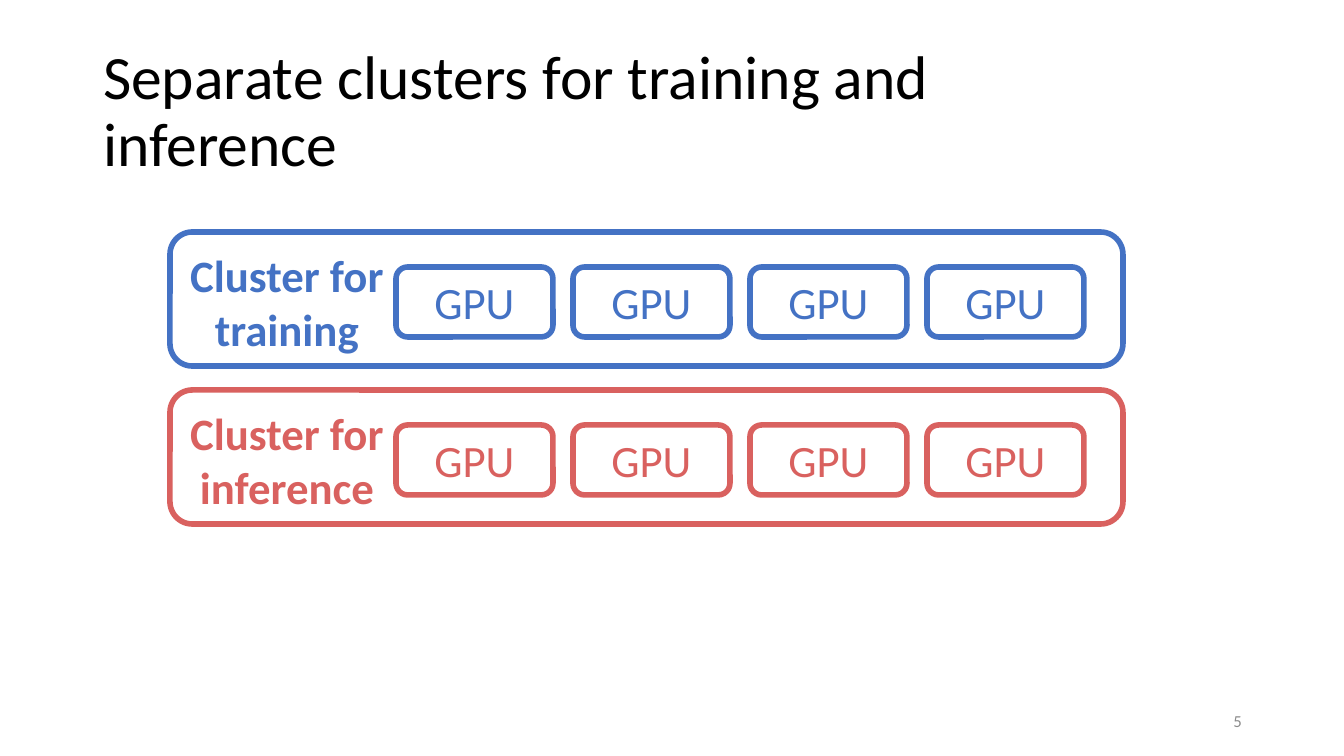
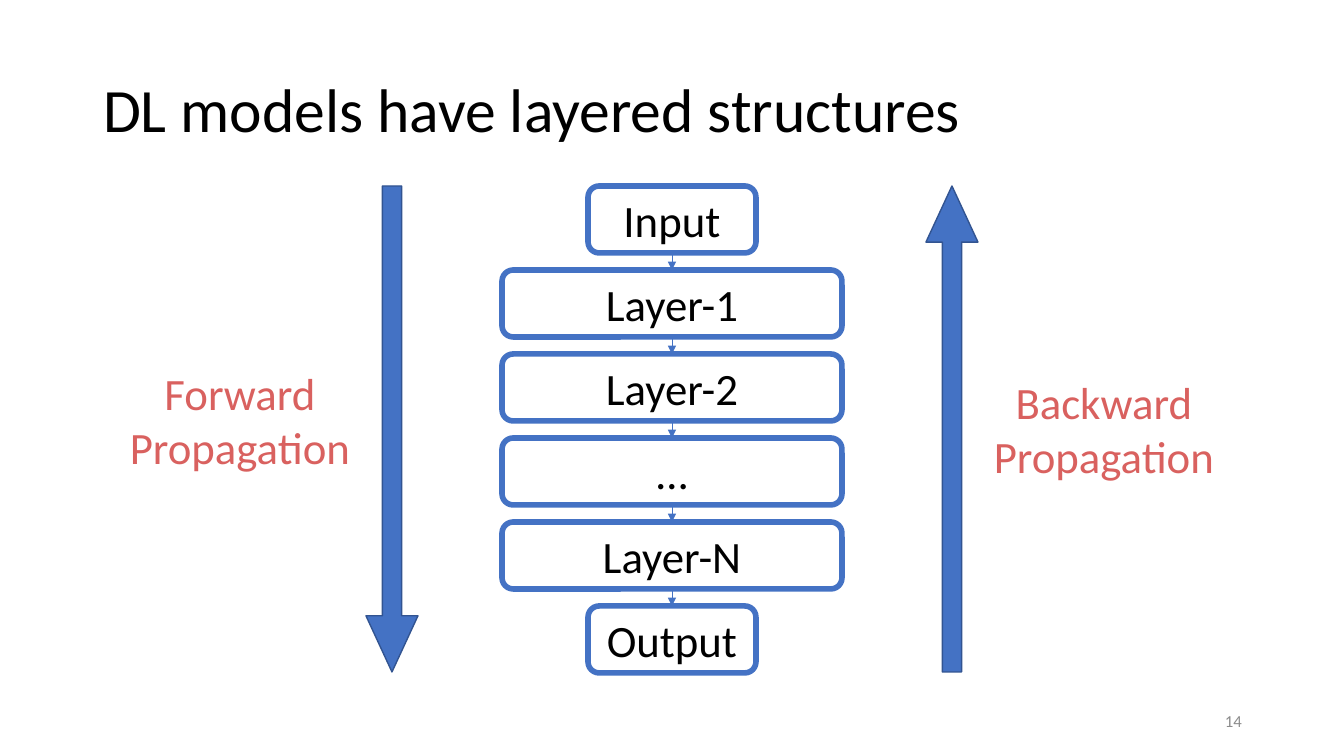
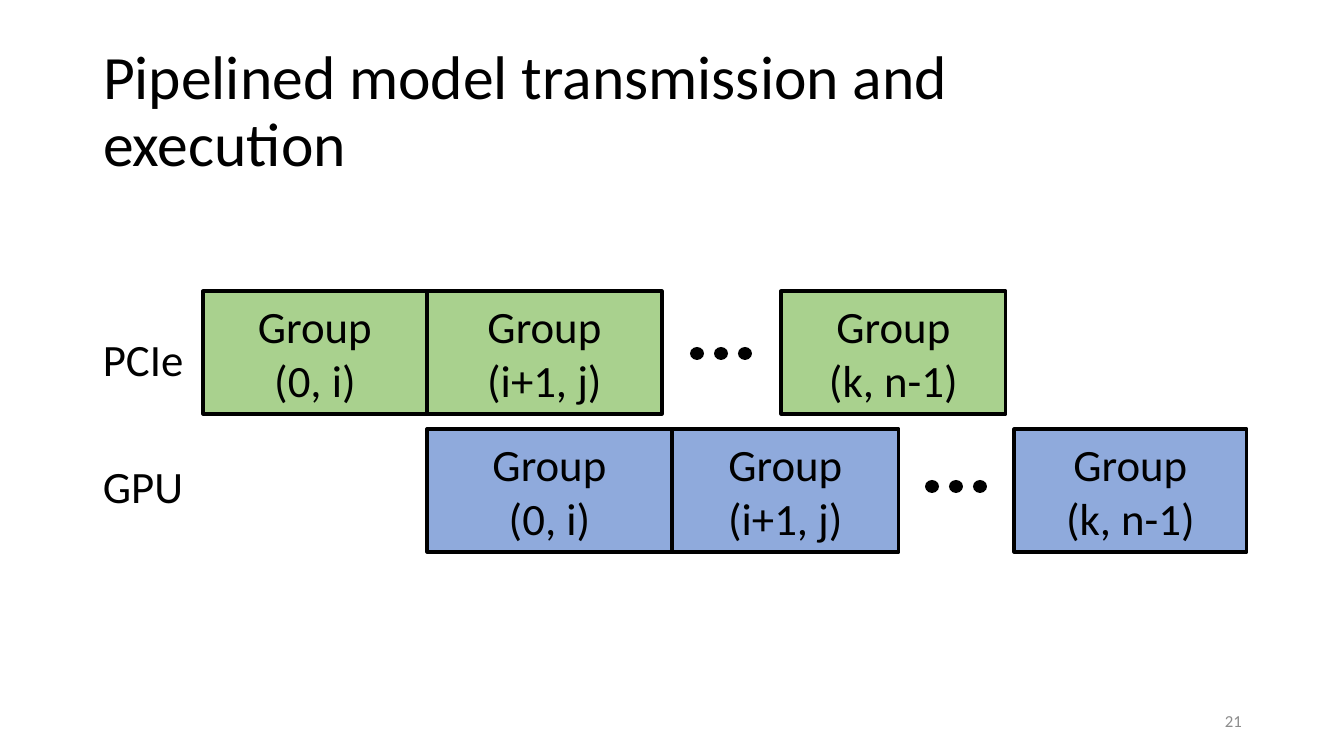
from dataclasses import dataclass
from typing import Optional

from lxml.etree import SubElement
from pptx import Presentation
from pptx.dml.color import RGBColor
from pptx.enum.shapes import MSO_CONNECTOR, MSO_SHAPE
from pptx.enum.text import MSO_ANCHOR, MSO_AUTO_SIZE, PP_ALIGN
from pptx.oxml.ns import qn
from pptx.shapes.autoshape import Shape
from pptx.slide import Slide
from pptx.text.text import TextFrame
from pptx.util import Emu, Pt

# Shared style
PIXEL = 12192000 / 1344
FONT = "Calibri"
BLACK = RGBColor(0x00, 0x00, 0x00)
WHITE = RGBColor(0xFF, 0xFF, 0xFF)
GRAY = RGBColor(0x8C, 0x8C, 0x8C)
BLUE = RGBColor(0x44, 0x72, 0xC4)
DARK_BLUE = RGBColor(0x32, 0x54, 0x91)
LIGHT_BLUE = RGBColor(0x8F, 0xAA, 0xDC)
RED = RGBColor(0xD9, 0x61, 0x5F)
GREEN = RGBColor(0xA9, 0xD1, 0x8E)


@dataclass(frozen=True)
class Box:
    left: int
    top: int
    width: int
    height: int

    def to_emu(self) -> tuple[Emu, Emu, Emu, Emu]:
        return (pixels(self.left), pixels(self.top),
                pixels(self.width), pixels(self.height))


@dataclass(frozen=True)
class TextStyle:
    color: RGBColor = BLACK
    size: int = 32
    bold: bool = False
    align: PP_ALIGN = PP_ALIGN.CENTER
    anchor: MSO_ANCHOR = MSO_ANCHOR.TOP
    wrap: bool = True
    line_spacing: Optional[float] = None


@dataclass(frozen=True)
class ShapeStyle:
    kind: MSO_SHAPE
    fill: Optional[RGBColor]
    line: Optional[RGBColor] = None
    line_width: float = 1
    text_color: RGBColor = BLACK


@dataclass(frozen=True)
class Cluster:
    purpose: str
    color: RGBColor
    top: int


@dataclass(frozen=True)
class Pipeline:
    label: str
    label_top: int
    top: int
    fill: RGBColor
    spans: tuple[tuple[int, int], ...]
    dots_left: int
    dots_top: int


@dataclass(frozen=True)
class Propagation:
    direction: str
    arrow: MSO_SHAPE
    arrow_left: int
    label_left: int
    label_top: int


TITLE = TextStyle(size=44, align=PP_ALIGN.LEFT, anchor=MSO_ANCHOR.MIDDLE, line_spacing=0.9)
SLIDE_NUMBER = TextStyle(GRAY, 12, align=PP_ALIGN.RIGHT, anchor=MSO_ANCHOR.MIDDLE)
ROW_LABEL = TextStyle(align=PP_ALIGN.LEFT, wrap=False)
DOT = ShapeStyle(MSO_SHAPE.OVAL, BLACK)


def pixels(length: float) -> Emu:
    return Emu(round(length * PIXEL))


def write_text(frame: TextFrame, lines: tuple[str, ...], style: TextStyle) -> None:
    frame.auto_size = MSO_AUTO_SIZE.NONE
    frame.word_wrap = style.wrap
    frame.vertical_anchor = style.anchor
    for index, line in enumerate(lines):
        paragraph = frame.paragraphs[0] if index == 0 else frame.add_paragraph()
        paragraph.alignment = style.align
        if style.line_spacing:
            paragraph.line_spacing = style.line_spacing
        run = paragraph.add_run()
        run.text = line
        run.font.name = FONT
        run.font.size = Pt(style.size)
        run.font.bold = style.bold
        run.font.color.rgb = style.color


def add_label(slide: Slide, box: Box, lines: tuple[str, ...], style: TextStyle) -> None:
    write_text(slide.shapes.add_textbox(*box.to_emu()).text_frame, lines, style)


def add_figure(shapes, box: Box, style: ShapeStyle, lines: tuple[str, ...] = ()) -> Shape:
    shape = shapes.add_shape(style.kind, *box.to_emu())
    shape.shadow.inherit = False
    if style.fill is None:
        shape.fill.background()
    else:
        shape.fill.solid()
        shape.fill.fore_color.rgb = style.fill
    if style.line is None:
        shape.line.fill.background()
    else:
        shape.line.color.rgb = style.line
        shape.line.width = Pt(style.line_width)
    if lines:
        write_text(shape.text_frame, lines,
                   TextStyle(style.text_color, anchor=MSO_ANCHOR.MIDDLE))
    return shape


def add_down_connector(slide: Slide, center: int, top: int, bottom: int) -> None:
    connector = slide.shapes.add_connector(
        MSO_CONNECTOR.STRAIGHT, pixels(center), pixels(top), pixels(center), pixels(bottom))
    connector.line.color.rgb = BLUE
    connector.line.width = Pt(0.5)
    SubElement(connector.line._get_or_add_ln(), qn("a:tailEnd"), type="triangle")
    SubElement(connector._element.spPr, qn("a:effectLst"))


def add_titled_slide(title: str, title_width: int, number: int) -> Slide:
    slide = presentation.slides.add_slide(presentation.slide_layouts[5])
    placeholder = slide.shapes.title
    placeholder.left, placeholder.top, placeholder.width, placeholder.height = Box(
        93, 40, title_width, 146).to_emu()
    write_text(placeholder.text_frame, (title,), TITLE)
    add_label(slide, Box(950, 701, 302, 40), (str(number),), SLIDE_NUMBER)
    return slide


def add_cluster(slide: Slide, cluster: Cluster) -> None:
    gpu = ShapeStyle(MSO_SHAPE.ROUNDED_RECTANGLE, WHITE, cluster.color, 4, cluster.color)
    frame = ShapeStyle(MSO_SHAPE.ROUNDED_RECTANGLE, None, cluster.color, 4)
    for column in range(4):
        add_figure(slide.shapes, Box(396 + 177 * column, cluster.top + 35, 157, 70),
                   gpu, ("GPU",))
    add_figure(slide.shapes, Box(170, cluster.top, 953, 134), frame)
    add_label(slide, Box(178, cluster.top + 11, 218, 119),
              ("Cluster for", cluster.purpose), TextStyle(cluster.color, bold=True))


def add_layers(slide: Slide, names: tuple[str, ...]) -> None:
    center, first_top, height, step = 672, 186, 67, 84
    layer = ShapeStyle(MSO_SHAPE.ROUNDED_RECTANGLE, WHITE, BLUE, 4)
    for index, name in enumerate(names):
        top = first_top + step * index
        width = 168 if name in ("Input", "Output") else 340
        add_figure(slide.shapes, Box(center - width // 2, top, width, height), layer, (name,))
        if index:
            add_down_connector(slide, center, top - step + height, top)


def add_propagation(slide: Slide, propagation: Propagation) -> None:
    arrow = add_figure(slide.shapes, Box(propagation.arrow_left, 186, 52, 486),
                       ShapeStyle(propagation.arrow, BLUE, DARK_BLUE))
    arrow.adjustments[0] = 0.37
    arrow.adjustments[1] = 1.08
    add_label(slide, Box(propagation.label_left, propagation.label_top, 252, 119),
              (propagation.direction, "Propagation"), TextStyle(RED))


def add_pipeline(slide: Slide, pipeline: Pipeline) -> None:
    add_label(slide, Box(93, pipeline.label_top, 102, 64), (pipeline.label,), ROW_LABEL)
    group_style = ShapeStyle(MSO_SHAPE.RECTANGLE, pipeline.fill, BLACK, 2.25)
    for (left, width), layers in zip(pipeline.spans, ("(0, i)", "(i+1, j)", "(k, n-1)")):
        add_figure(slide.shapes, Box(left, pipeline.top, width, 123),
                   group_style, ("Group", layers))
    dots = slide.shapes.add_group_shape()
    for index in range(3):
        add_figure(dots.shapes,
                   Box(pipeline.dots_left + 24 * index, pipeline.dots_top, 14, 13), DOT)


presentation = Presentation()
presentation.slide_width = pixels(1344)
presentation.slide_height = pixels(756)

# Separate clusters
clusters_slide = add_titled_slide("Separate clusters for training and inference", 857, 5)
for cluster in (Cluster("training", BLUE, 232), Cluster("inference", RED, 390)):
    add_cluster(clusters_slide, cluster)

# Layered structure
layers_slide = add_titled_slide("DL models have layered structures", 1159, 14)
add_layers(layers_slide, ("Input", "Layer-1", "Layer-2", "…", "Layer-N", "Output"))
for propagation in (
    Propagation("Forward", MSO_SHAPE.DOWN_ARROW, 366, 114, 361),
    Propagation("Backward", MSO_SHAPE.UP_ARROW, 926, 978, 370),
):
    add_propagation(layers_slide, propagation)

# Pipelined transmission and execution
pipeline_slide = add_titled_slide("Pipelined model transmission and execution", 1063, 21)
for pipeline in (
    Pipeline("PCIe", 327, 291, GREEN, ((203, 224), (427, 235), (781, 225)), 690, 347),
    Pipeline("GPU", 454, 429, LIGHT_BLUE, ((427, 245), (672, 227), (1014, 233)), 925, 480),
):
    add_pipeline(pipeline_slide, pipeline)

presentation.save("out.pptx")
